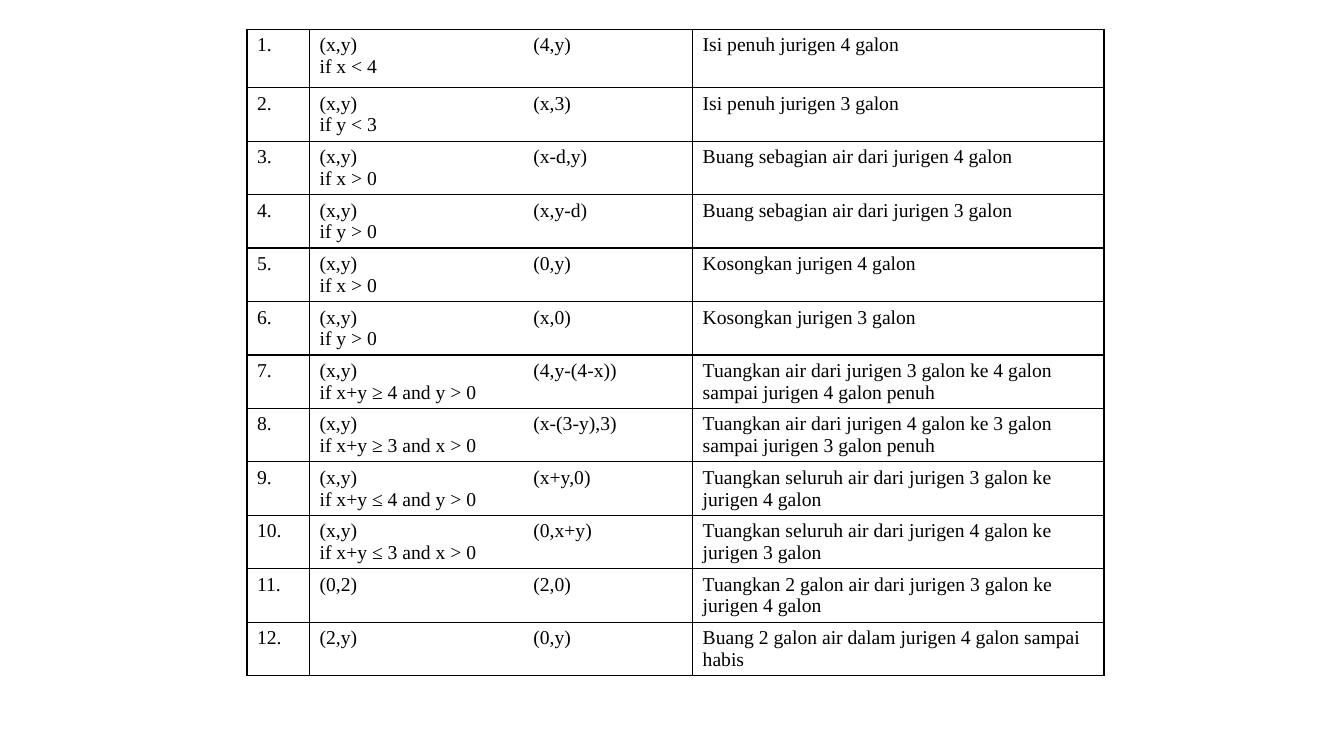
from typing import NamedTuple

from lxml.etree import SubElement
from pptx import Presentation
from pptx.dml.color import RGBColor
from pptx.oxml.ns import qn
from pptx.util import Inches, Pt

FONT, SIZE, BLACK = "Times New Roman", 14, "000000"
COL_WIDTHS = (0.62, 3.8, 4.08)
FIRST_ROW, OTHER_ROWS = 0.58, 0.53
RESULT_TAB = 2.12


class Rule(NamedTuple):
    state: str
    result: str
    condition: str
    action: str


RULES = [
    Rule("(x,y)", "(4,y)", "if x < 4", "Isi penuh jurigen 4 galon"),
    Rule("(x,y)", "(x,3)", "if y < 3", "Isi penuh jurigen 3 galon"),
    Rule("(x,y)", "(x-d,y)", "if x > 0", "Buang sebagian air dari jurigen 4 galon"),
    Rule("(x,y)", "(x,y-d)", "if y > 0", "Buang sebagian air dari jurigen 3 galon"),
    Rule("(x,y)", "(0,y)", "if x > 0", "Kosongkan jurigen 4 galon"),
    Rule("(x,y)", "(x,0)", "if y > 0", "Kosongkan jurigen 3 galon"),
    Rule("(x,y)", "(4,y-(4-x))", "if x+y ≥ 4 and y > 0",
         "Tuangkan air dari jurigen 3 galon ke 4 galon sampai jurigen 4 galon penuh"),
    Rule("(x,y)", "(x-(3-y),3)", "if x+y ≥ 3 and x > 0",
         "Tuangkan air dari jurigen 4 galon ke 3 galon sampai jurigen 3 galon penuh"),
    Rule("(x,y)", "(x+y,0)", "if x+y ≤ 4 and y > 0",
         "Tuangkan seluruh air dari jurigen 3 galon ke jurigen 4 galon"),
    Rule("(x,y)", "(0,x+y)", "if x+y ≤ 3 and x > 0",
         "Tuangkan seluruh air dari jurigen 4 galon ke jurigen 3 galon"),
    Rule("(0,2)", "(2,0)", "", "Tuangkan 2 galon air dari jurigen 3 galon ke jurigen 4 galon"),
    Rule("(2,y)", "(0,y)", "", "Buang 2 galon air dalam jurigen 4 galon sampai habis"),
]


def color(hex_value: str) -> RGBColor:
    return RGBColor.from_string(hex_value)


def add_borders(cell) -> None:
    tc_pr = cell._tc.get_or_add_tcPr()
    for side in ("a:lnL", "a:lnR", "a:lnT", "a:lnB"):
        ln = SubElement(tc_pr, qn(side), w=str(Pt(1)))
        SubElement(SubElement(ln, qn("a:solidFill")), qn("a:srgbClr"), val=BLACK)


def add_tab(p, inches: float) -> None:
    tabs = SubElement(p._p.get_or_add_pPr(), qn("a:tabLst"))
    SubElement(tabs, qn("a:tab"), pos=str(Inches(inches)), algn="l")


def fill_cell(cell, text: str) -> None:
    add_borders(cell)
    cell.fill.background()
    tf = cell.text_frame
    tf.text = text
    for p in tf.paragraphs:
        if "\t" in p.text:
            add_tab(p, RESULT_TAB)
        for r in p.runs:
            r.font.name, r.font.size = FONT, Pt(SIZE)
            r.font.color.rgb = color(BLACK)


def add_rule_table(s, rules: list[Rule]) -> None:
    height = FIRST_ROW + OTHER_ROWS * (len(rules) - 1)
    table = s.shapes.add_table(len(rules), len(COL_WIDTHS), Inches(2.45), Inches(0.29),
                               Inches(sum(COL_WIDTHS)), Inches(height)).table
    table.first_row = table.horz_banding = False
    for col, width in zip(table.columns, COL_WIDTHS):
        col.width = Inches(width)
    for i, (row, rule) in enumerate(zip(table.rows, rules)):
        row.height = Inches(OTHER_ROWS if i else FIRST_ROW)
        step = f"{rule.state}\t{rule.result}"
        if rule.condition:
            step += f"\n{rule.condition}"
        for cell, text in zip(row.cells, (f"{i + 1}.", step, rule.action)):
            fill_cell(cell, text)


def main() -> None:
    prs = Presentation()
    prs.slide_width, prs.slide_height = Inches(13.33), Inches(7.5)
    s = prs.slides.add_slide(prs.slide_layouts[6])
    # Production rules of the water jug problem
    add_rule_table(s, RULES)
    prs.save("out.pptx")


if __name__ == "__main__":
    main()
